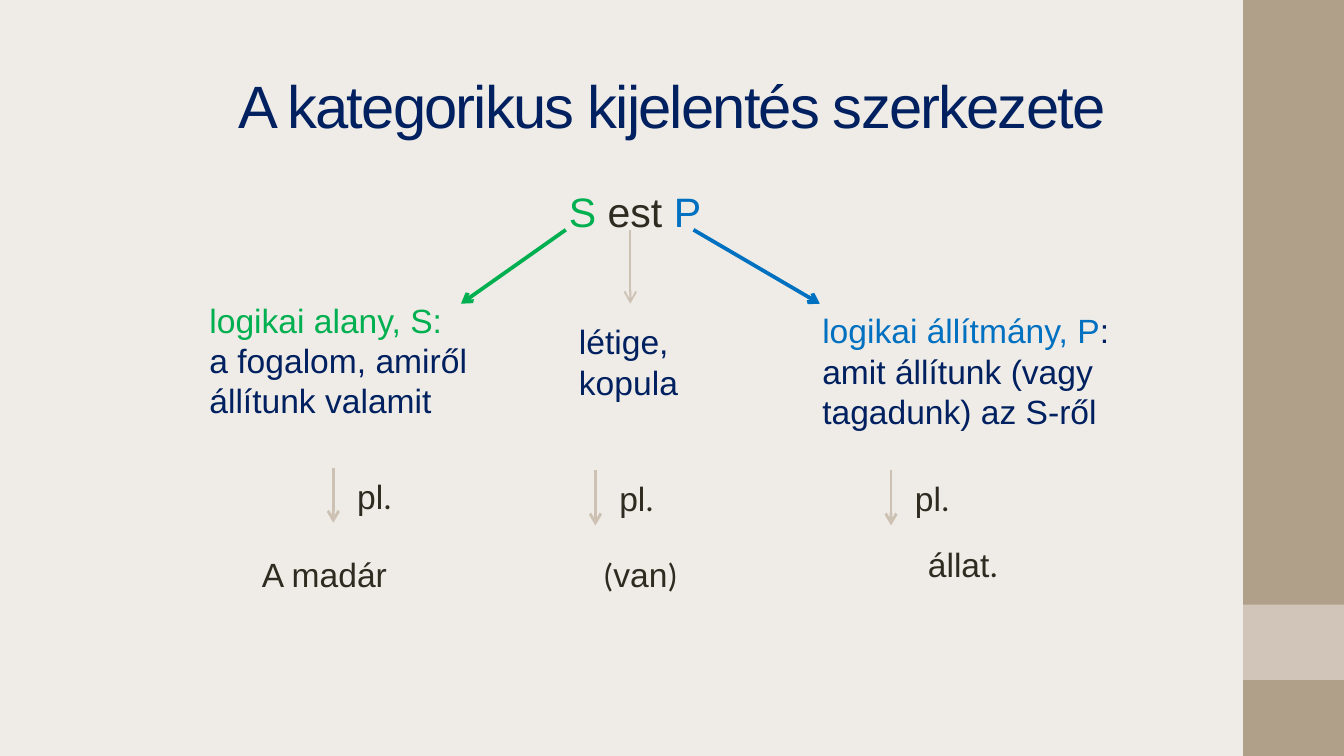
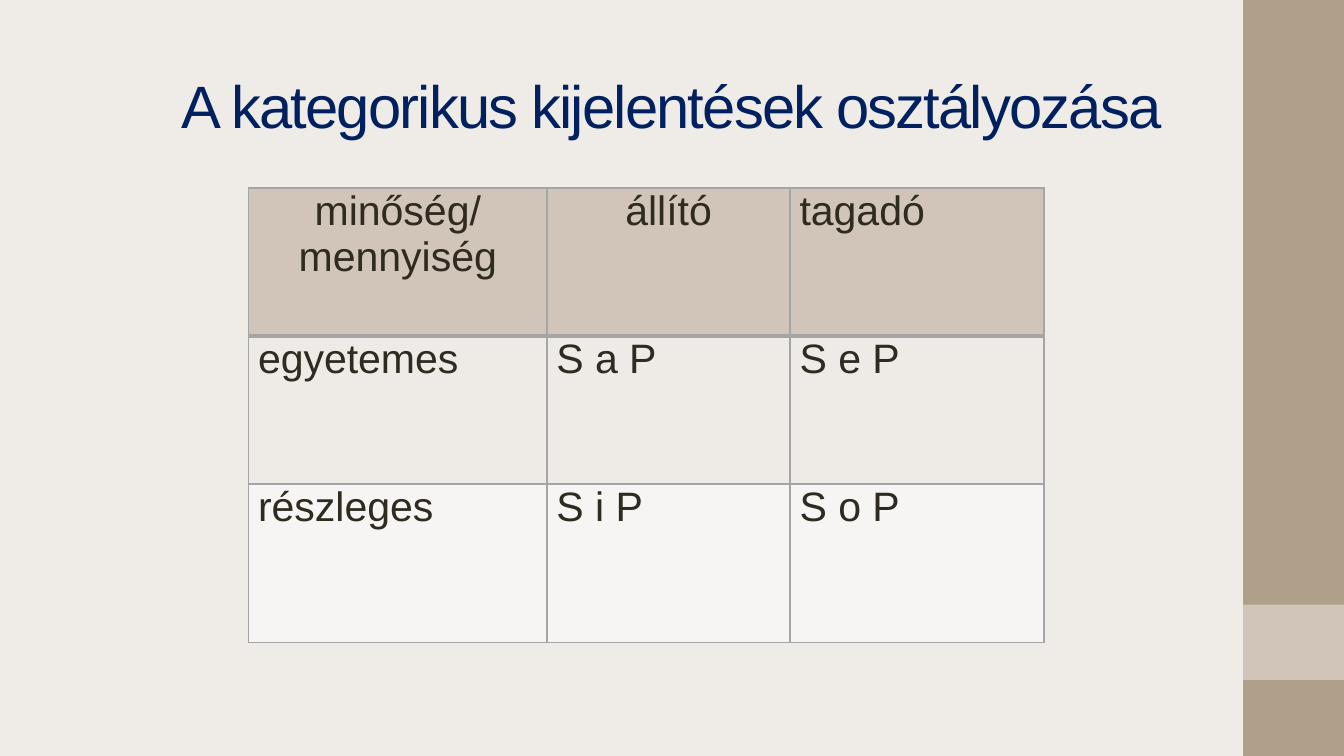
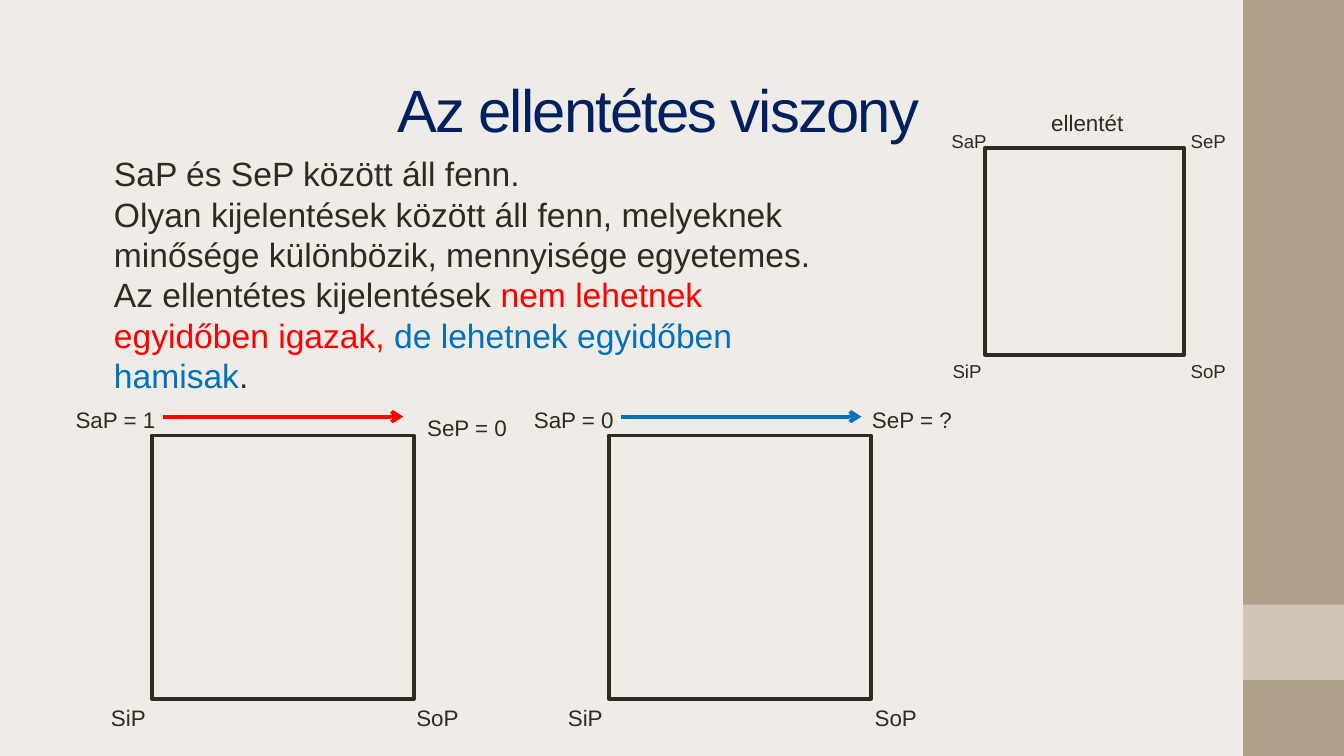
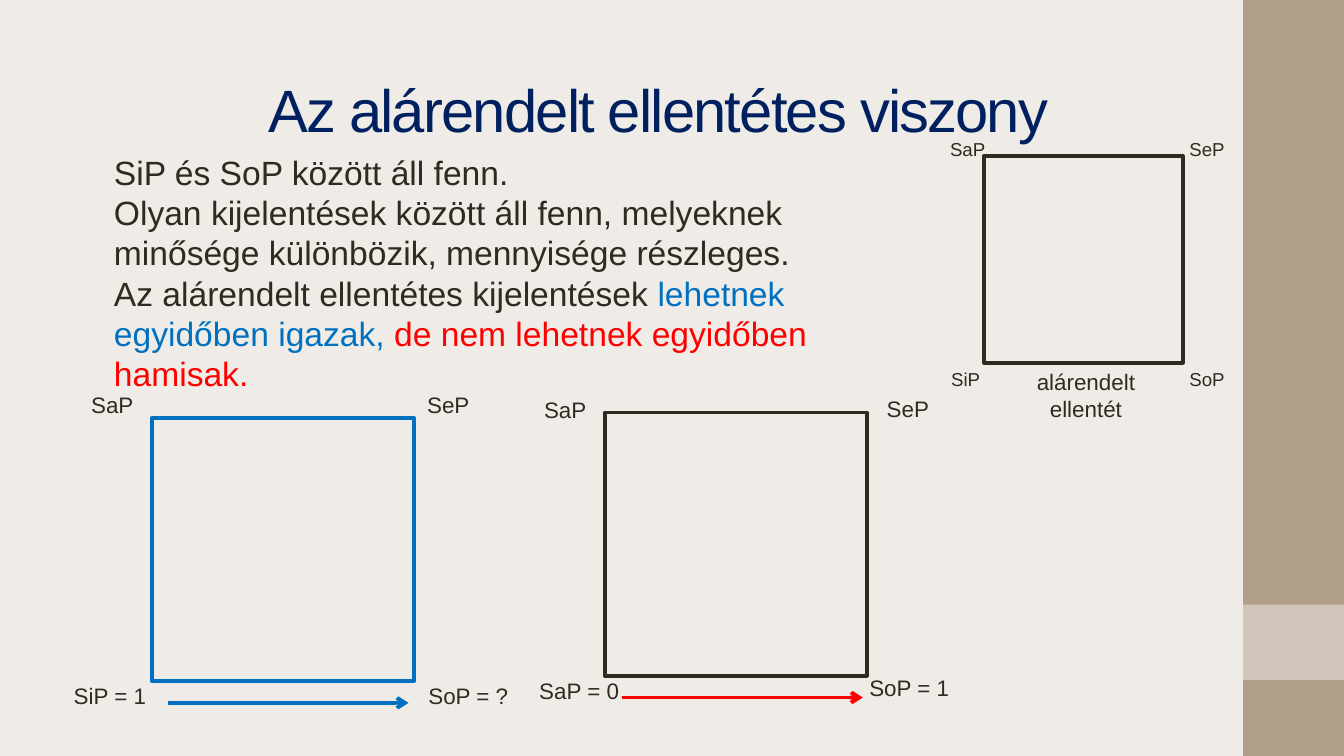
import pptx
import pptx.util
import pptx.dml.color
import pptx.enum.shapes
import pptx.enum.text
import pptx.oxml.ns
import lxml.etree

RGB = pptx.dml.color.RGBColor
PAPER = RGB(0xEF, 0xEC, 0xE7)
TAN = RGB(0xB1, 0xA0, 0x89)
SAND = RGB(0xD0, 0xC5, 0xB8)
STONE = RGB(0xCC, 0xC1, 0xB3)
NAVY = RGB(0x00, 0x20, 0x60)
INK = RGB(0x2F, 0x2B, 0x20)
GREEN = RGB(0x00, 0xB0, 0x50)
BLUE = RGB(0x00, 0x70, 0xC0)
RED = RGB(0xFF, 0x00, 0x00)
GRAY = RGB(0xA5, 0xA5, 0xA5)
PALE = RGB(0xEE, 0xEA, 0xE6)
LIGHT = RGB(0xF7, 0xF5, 0xF3)
FACE = "Arial"
SIDE = "Calibri"

L = pptx.enum.text.PP_ALIGN.LEFT
C = pptx.enum.text.PP_ALIGN.CENTER
R = pptx.enum.text.PP_ALIGN.RIGHT
TOP = pptx.enum.text.MSO_ANCHOR.TOP
MID = pptx.enum.text.MSO_ANCHOR.MIDDLE
RECT = pptx.enum.shapes.MSO_SHAPE.RECTANGLE
LINE = pptx.enum.shapes.MSO_CONNECTOR.STRAIGHT
tag = pptx.oxml.ns.qn

deck = pptx.Presentation()
deck.slide_width = pptx.util.Inches(10)
deck.slide_height = pptx.util.Inches(5.625)
# UNIT
unit = deck.slide_width / 100


def grid(*spots):
    return [round(spot * unit) for spot in spots]


def write(page, box, lines, size=18, side=L, hold=TOP):
    frame = page.shapes.add_textbox(*grid(*box)).text_frame
    frame.word_wrap = True
    frame.vertical_anchor = hold
    for count, parts in enumerate(lines):
        para = frame.add_paragraph() if count else frame.paragraphs[0]
        para.alignment = side
        for text, hue, face in parts:
            run = para.add_run()
            run.text = text
            run.font.size = pptx.util.Pt(size)
            run.font.name = face
            run.font.color.rgb = hue
    return frame


heads = [
    ("A kategorikus kijelentés szerkezete", (5, 1.3, 90, 13)),
    ("A kategorikus kijelentések osztályozása", (5, 1.3, 90, 13)),
    ("Az ellentétes viszony", (4, 4, 90, 8.1)),
    ("Az alárendelt ellentétes viszony", (4, 4, 90, 8.1)),
]
pages = []
for head, box in heads:
    page = deck.slides.add_slide(deck.slide_layouts[6])
    page.background.fill.solid()
    page.background.fill.fore_color.rgb = PAPER
    for top, high, hue in [(0, 56.25, TAN), (45, 5.6, SAND)]:
        band = page.shapes.add_shape(RECT, *grid(92.5, top, 7.5, high))
        band.shadow.inherit = False
        band.fill.solid()
        band.fill.fore_color.rgb = hue
        band.line.fill.background()
    frame = write(page, box, [[(head, NAVY, FACE)]], 32, C, MID)
    frame.paragraphs[0].runs[0].font._element.set("spc", "-100")
    pages.append(page)

form, chart, clash, under = pages

write(form, (6.2, 13.4, 82.1, 6),
      [[("S", GREEN, FACE), (" est ", INK, FACE), ("P", BLUE, FACE)]], 22, C)
write(form, (14.6, 21.8, 23.6, 10.1),
      [[("logikai alany, S:", GREEN, FACE)],
       [("a fogalom, amiről állítunk valamit", NAVY, FACE)]])
write(form, (42.1, 23.4, 11, 7.1), [[("létige, kopula", NAVY, FACE)]])
write(form, (60.2, 22.6, 26, 10.1),
      [[("logikai állítmány, P", BLUE, FACE),
        (": amit állítunk (vagy tagadunk) az S-ről", NAVY, FACE)]])

rays = [
    (form, 42.1, 17.1, 34.3, 22.6, GREEN, 2),
    (form, 46.9, 17.1, 46.9, 22.6, STONE, 1),
    (form, 51.6, 17.1, 61, 22.6, BLUE, 2),
]
for left, top in [(24.8, 34.8), (44.3, 35), (66.3, 35)]:
    rays.append((form, left, top, left, top + 4.1, STONE, 1.5))
    write(form, (left + 0.8, top + 0.1, 4.7, 4),
          [[("pl", INK, FACE), (".", INK, SIDE)]])

for left, top, side, parts in [
    (18.5, 40.7, L, [("A madár", INK, FACE)]),
    (38.6, 40.7, C, [("(", INK, SIDE), ("van", INK, FACE), (")", INK, SIDE)]),
    (62.6, 40, C, [("állat", INK, FACE), (".", INK, SIDE)]),
]:
    write(form, (left, top, 18.1, 4), [parts], 18, side)

cells = [
    ["minőség/\nmennyiség", "állító", "tagadó"],
    ["egyetemes", "S a P", "S e P"],
    ["részleges", "S i P", "S o P"],
]
table = chart.shapes.add_table(3, 3, *grid(18.5, 14, 59.2, 33.9)).table
for col, wide in zip(table.columns, grid(22.2, 18.1, 18.9)):
    col.width = wide
for row, high in zip(table.rows, grid(11, 11, 11.8)):
    row.height = high
for y, words in enumerate(cells):
    for x, word in enumerate(words):
        cell = table.cell(y, x)
        cell.margin_left = cell.margin_right = pptx.util.Inches(0.07)
        cell.margin_top = cell.margin_bottom = 0
        cell.text_frame.text = word
        for para in cell.text_frame.paragraphs:
            para.alignment = C if y == 0 and x < 2 else L
            font = para.runs[0].font
            font.size = pptx.util.Pt(22)
            font.name = FACE
            font.bold = False
            font.color.rgb = INK
        for edge in ["lnL", "lnR", "lnT", "lnB"]:
            thick = (y, edge) in [(0, "lnB"), (1, "lnT")]
            rule = lxml.etree.SubElement(
                cell._tc.get_or_add_tcPr(), tag("a:" + edge),
                w=str(pptx.util.Pt(3 if thick else 1)))
            fill = lxml.etree.SubElement(rule, tag("a:solidFill"))
            lxml.etree.SubElement(fill, tag("a:srgbClr"), val=str(GRAY))
        cell.fill.solid()
        cell.fill.fore_color.rgb = [SAND, PALE, LIGHT][y]

write(clash, (7.5, 10.9, 57, 19.2), [
    [("SaP és SeP között áll fenn.", INK, FACE)],
    [("Olyan kijelentések között áll fenn, melyeknek minősége különbözik, "
      "mennyisége egyetemes.", INK, FACE)],
    [("Az ellentétes kijelentések ", INK, FACE),
     ("nem lehetnek egyidőben igazak, ", RED, FACE),
     ("de lehetnek egyidőben hamisak", BLUE, FACE), (".", INK, FACE)],
])
write(under, (7.5, 10.8, 57, 19.2), [
    [("SiP és SoP között áll fenn.", INK, FACE)],
    [("Olyan kijelentések között áll fenn, melyeknek minősége különbözik, "
      "mennyisége részleges.", INK, FACE)],
    [("Az alárendelt ellentétes kijelentések ", INK, FACE),
     ("lehetnek egyidőben igazak, ", BLUE, FACE),
     ("de nem lehetnek egyidőben hamisak.", RED, FACE)],
])

squares = [
    (clash, 11.3, 32.4, INK, [
        ("SaP = 1", 4.3, 29.7, 8.6, C), ("SeP = 0", 29.7, 30.3, 10.1, C),
        ("SiP", 6.6, 51.9, 5.9, C), ("SoP", 29.6, 51.9, 5.9, C)]),
    (clash, 45.3, 32.4, INK, [
        ("SaP = 0", 38.4, 29.7, 8.6, C), ("SeP = ?", 62.8, 29.7, 10.1, C),
        ("SiP", 40.6, 51.9, 5.9, C), ("SoP", 63.7, 51.9, 5.9, C)]),
    (under, 11.3, 31.1, BLUE, [
        ("SiP = 1", 4.5, 50.3, 8.6, L), ("SoP = ?", 28.7, 50.3, 10.1, R),
        ("SaP", 5.4, 28.6, 5.9, C), ("SeP", 30.4, 28.6, 5.9, C)]),
    (under, 45, 30.7, INK, [
        ("SaP = 0", 38.8, 49.9, 8.6, C), ("SoP = 1", 62.6, 49.7, 10.1, C),
        ("SaP", 39.1, 29, 5.9, C), ("SeP", 64.6, 28.9, 5.9, C)]),
]
frames = []
for page, left, top, hue, labels in squares:
    frames.append((page, left, top, 19.5, 19.6, hue))
    for text, x, y, wide, side in labels:
        write(page, (x, y, wide, 3), [[(text, INK, FACE)]], 12, side)

for page, left, top in [(clash, 73.3, 11), (under, 73.2, 11.6)]:
    frames.append((page, left, top, 14.8, 15.4, INK))
    for text, x, y, wide in [
        ("SaP", -3.6, -1.8, 4.8), ("SeP", 14, -1.8, 5.2),
        ("SiP", -3.6, 15.3, 4.5), ("SoP", 14, 15.3, 5.2),
    ]:
        write(page, (left + x, top + y, wide, 2.7), [[(text, INK, FACE)]], 10, C)
write(clash, (74.5, 7.6, 12.8, 3), [[("ellentét", INK, FACE)]], 12, C, MID)
write(under, (74.4, 26.9, 12.8, 5),
      [[("alárendelt ellentét", INK, FACE)]], 12, C, MID)

for page, left, top, wide, high, hue in frames:
    square = page.shapes.add_shape(RECT, *grid(left, top, wide, high))
    square.shadow.inherit = False
    square.fill.background()
    square.line.color.rgb = hue
    square.line.width = pptx.util.Pt(2)

for page, left, top, hue in [
    (clash, 12.1, 31, RED), (clash, 46.2, 31, BLUE),
    (under, 12.5, 52.3, BLUE), (under, 46.3, 51.9, RED),
]:
    rays.append((page, left, top, left + 17.9, top, hue, 2))

for page, x, y, far, low, hue, size in rays:
    ray = page.shapes.add_connector(LINE, *grid(x, y, far, low))
    ray.line.color.rgb = hue
    ray.line.width = pptx.util.Pt(size)
    lxml.etree.SubElement(ray.line._get_or_add_ln(), tag("a:tailEnd"), type="arrow")
    lxml.etree.SubElement(ray._element.spPr, tag("a:effectLst"))

deck.save("out.pptx")
